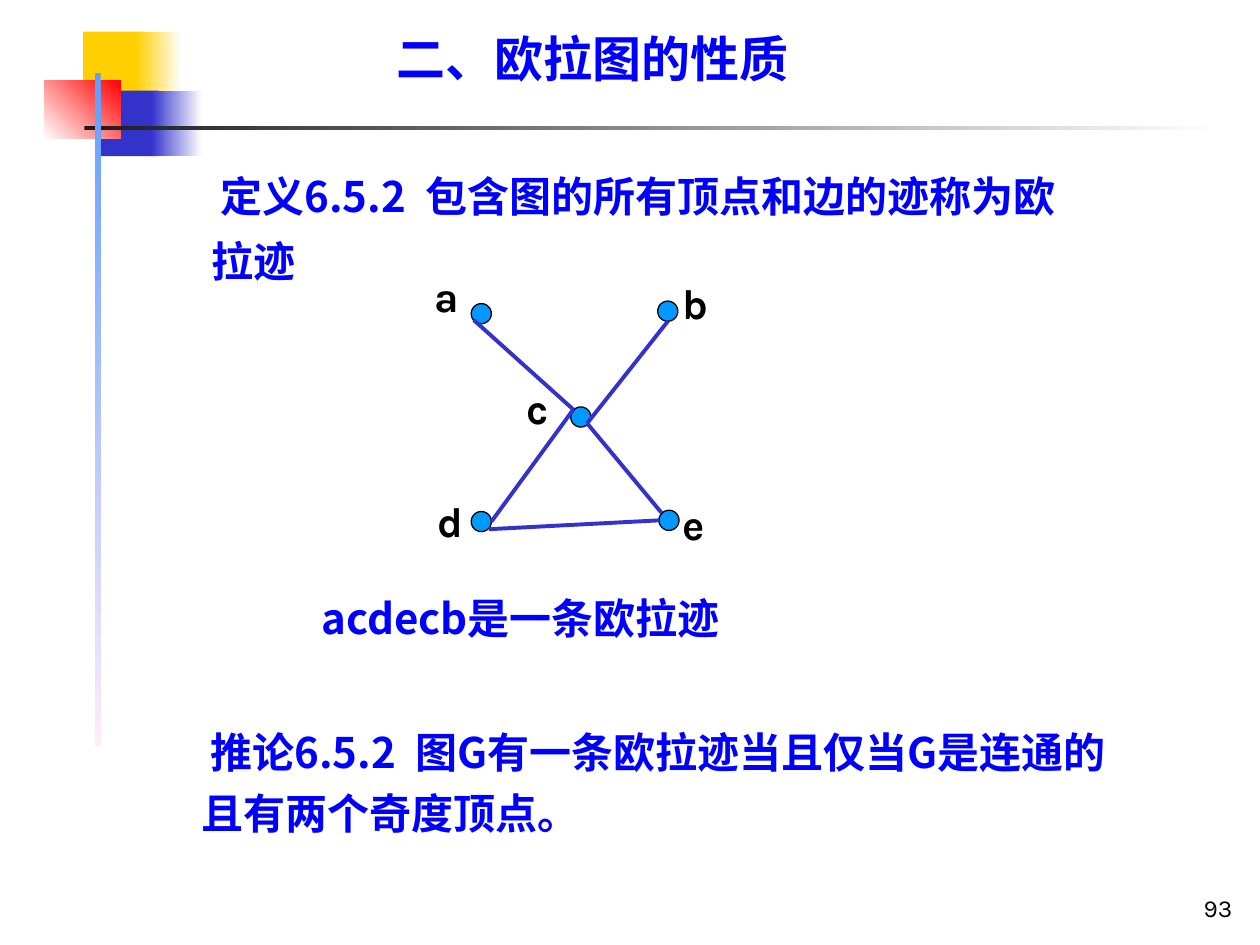
from lxml.etree import SubElement as Sub
from pptx import Presentation
from pptx.dml.color import RGBColor
from pptx.enum.shapes import MSO_CONNECTOR as Link, MSO_SHAPE as Form
from pptx.enum.text import MSO_ANCHOR as Anchor, MSO_AUTO_SIZE as Fit, PP_ALIGN as Align
from pptx.oxml.ns import qn
from pptx.util import Inches, Pt

BLACK = RGBColor(0x00, 0x00, 0x00)
WHITE = RGBColor(0xFF, 0xFF, 0xFF)
BLUE = RGBColor(0x00, 0x00, 0xFF)
GOLD = RGBColor(0xFF, 0xCF, 0x01)
INDIGO = RGBColor(0x33, 0x33, 0xCC)
RED = RGBColor(0xFF, 0x00, 0x00)
COAL = RGBColor(0x1C, 0x1C, 0x1C)
SKY = RGBColor(0x5E, 0x9E, 0xFF)
PINK = RGBColor(0xFF, 0xEB, 0xFA)
AZURE = RGBColor(0x00, 0x99, 0xFF)


class Board:
    """Draws the parts of a slide in one shared style."""

    latin = "Karla"
    han = "Noto Sans CJK SC"
    dot = 0.16

    def __init__(self, slide):
        self.shapes = slide.shapes

    def shape(self, form, box):
        item = self.shapes.add_shape(form, *map(Inches, box))
        item.shadow.inherit = False
        return item

    def block(self, box, start, end=None, angle=0):
        item = self.shape(Form.RECTANGLE, box)
        item.line.fill.background()
        if end is None:
            item.fill.solid()
            item.fill.fore_color.rgb = start
            return
        item.fill.gradient()
        item.fill.gradient_angle = angle
        for stop, color in zip(item.fill.gradient_stops, (start, end)):
            stop.color.rgb = color

    def node(self, left, top):
        item = self.shape(Form.OVAL, (left, top, self.dot, self.dot))
        item.fill.solid()
        item.fill.fore_color.rgb = AZURE
        item.line.color.rgb = BLACK
        item.line.width = Pt(0.75)

    def edge(self, start, end):
        item = self.shapes.add_connector(Link.STRAIGHT, *map(Inches, start + end))
        item.line.color.rgb = INDIGO
        item.line.width = Pt(2.25)
        Sub(item._element.spPr, qn("a:effectLst"))

    def frame(self, box, pad=(0, 0), wrap=True):
        frame = self.shapes.add_textbox(*map(Inches, box)).text_frame
        frame.margin_left = frame.margin_right = Inches(pad[0])
        frame.margin_top = frame.margin_bottom = Inches(pad[1])
        frame.word_wrap = wrap
        frame.auto_size = Fit.SHAPE_TO_FIT_TEXT
        return frame

    def run(self, para, text, size, font, color, bold=True):
        run = para.add_run()
        run.text = text
        run.font.size = Pt(size)
        run.font.bold = bold
        run.font.name = font
        run.font.color.rgb = color
        props = run.font._element
        Sub(props, qn("a:ea")).set("typeface", font)
        return props

    def title(self, box, text):
        para = self.frame(box, wrap=False).paragraphs[0]
        para.line_spacing = 0.9
        self.run(para, text, 28, self.han, BLUE)

    def prose(self, box, space, text, head=None):
        para = self.frame(box).paragraphs[0]
        para.line_spacing = space
        props = para._p.get_or_add_pPr()
        props.set("marL", str(Inches(0.38)))
        props.set("indent", str(Inches(0.07)))
        if head:
            self.run(para, head, 24, self.han, BLUE)
            self.run(para, " ", 24, self.han, BLUE).set("spc", "540")
        self.run(para, text, 24, self.han, BLUE)

    def label(self, box, text):
        para = self.frame(box, (0.1, 0.05), False).paragraphs[0]
        self.run(para, text, 24, self.latin, BLACK)

    def number(self, box, text):
        frame = self.frame(box, (0.1, 0.05))
        frame.auto_size = Fit.NONE
        frame.vertical_anchor = Anchor.BOTTOM
        para = frame.paragraphs[0]
        para.alignment = Align.RIGHT
        self.run(para, text, 14, self.latin, BLACK, False)


def main():
    deck = Presentation()
    deck.slide_width, deck.slide_height = Inches(10), Inches(7.5)
    board = Board(deck.slides.add_slide(deck.slide_layouts[6]))

    board.block((0.66, 0.25, 0.48, 0.52), GOLD)
    board.block((1.08, 0.25, 0.36, 0.52), GOLD, WHITE)
    board.block((0.8, 0.72, 0.46, 0.52), INDIGO)
    board.block((1.2, 0.72, 0.4, 0.52), INDIGO, WHITE)
    board.block((0.35, 0.64, 0.61, 0.46), WHITE, RED, 45)
    board.block((0.67, 1, 9, 0.03), COAL, WHITE)
    board.block((0.75, 0.58, 0.05, 5.33), SKY, PINK, 270)

    board.number((7.8, 6.87, 2.08, 0.5), "93")
    board.title((3.15, 0.28, 3.86, 0.42), "二、欧拉图的性质")
    board.prose((1.3, 1.23, 7.4, 1.04), 1.3,
                "包含图的所有顶点和边的迹称为欧拉迹", "定义6.5.2")

    nodes = {
        "a": ((3.74, 2.41), (3.35, 2.1, 0.4, 0.5)),
        "b": ((5.22, 2.39), (5.32, 2.15, 0.41, 0.5)),
        "c": ((4.53, 3.23), (4.08, 2.99, 0.37, 0.5)),
        "d": ((3.74, 4.06), (3.37, 3.88, 0.41, 0.5)),
        "e": ((5.23, 4.05), (5.32, 3.91, 0.39, 0.5)),
    }
    for name, (spot, box) in nodes.items():
        board.node(*spot)
        board.label(box, name)

    upper, lower = (4.55, 3.25), (4.66, 3.36)
    for start, end in (
        ((3.76, 2.54), upper),
        (lower, (5.3, 2.55)),
        (upper, (3.9, 4.14)),
        ((3.88, 4.2), (5.23, 4.13)),
        (lower, (5.25, 4.07)),
    ):
        board.edge(start, end)

    board.prose((2.1, 4.62, 4.95, 0.48), 1.2, "acdecb是一条欧拉迹")
    board.prose((1.22, 5.69, 7.72, 0.96), 1.2,
                "图G有一条欧拉迹当且仅当G是连通的且有两个奇度顶点。", "推论6.5.2")
    deck.save("out.pptx")


if __name__ == "__main__":
    main()
